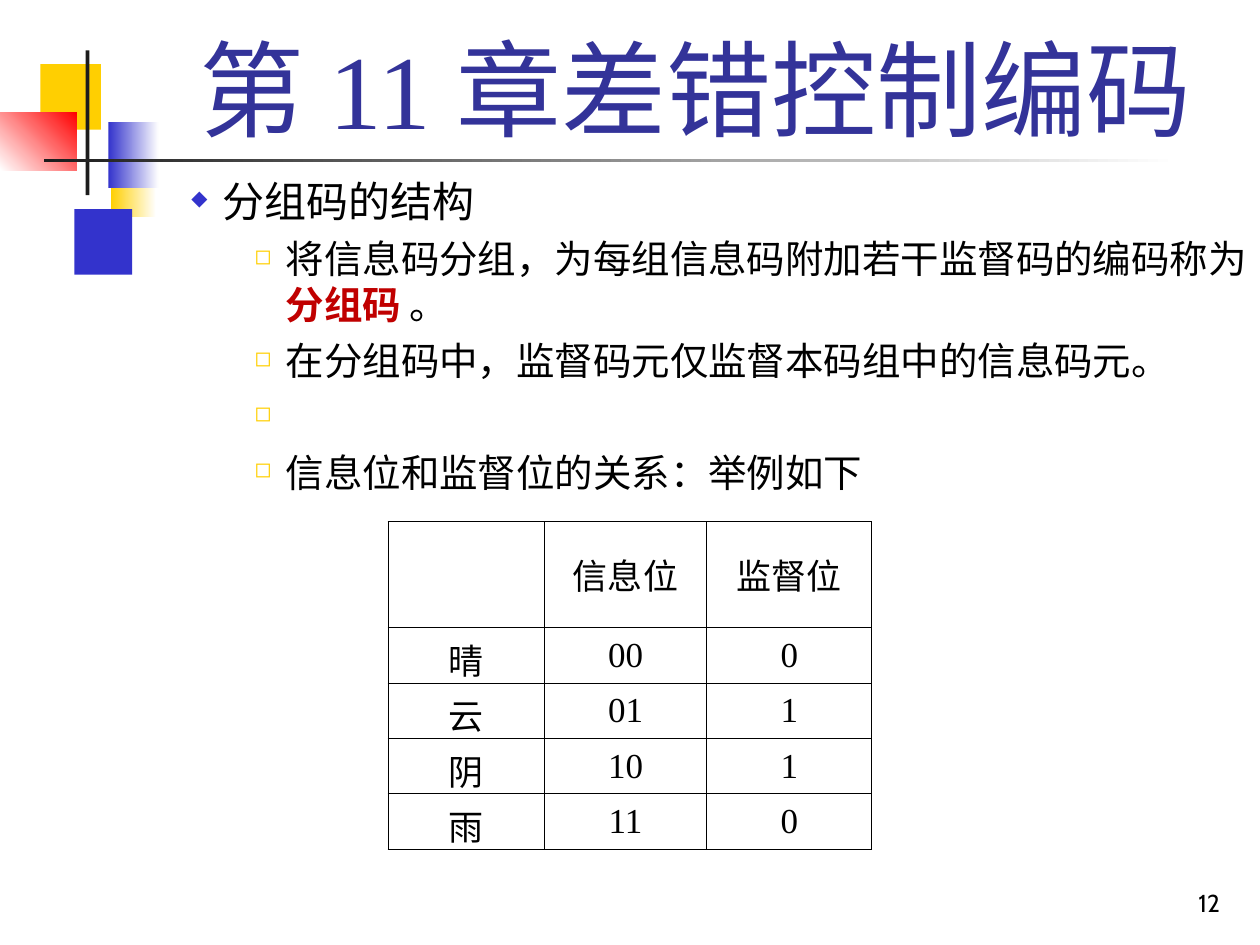
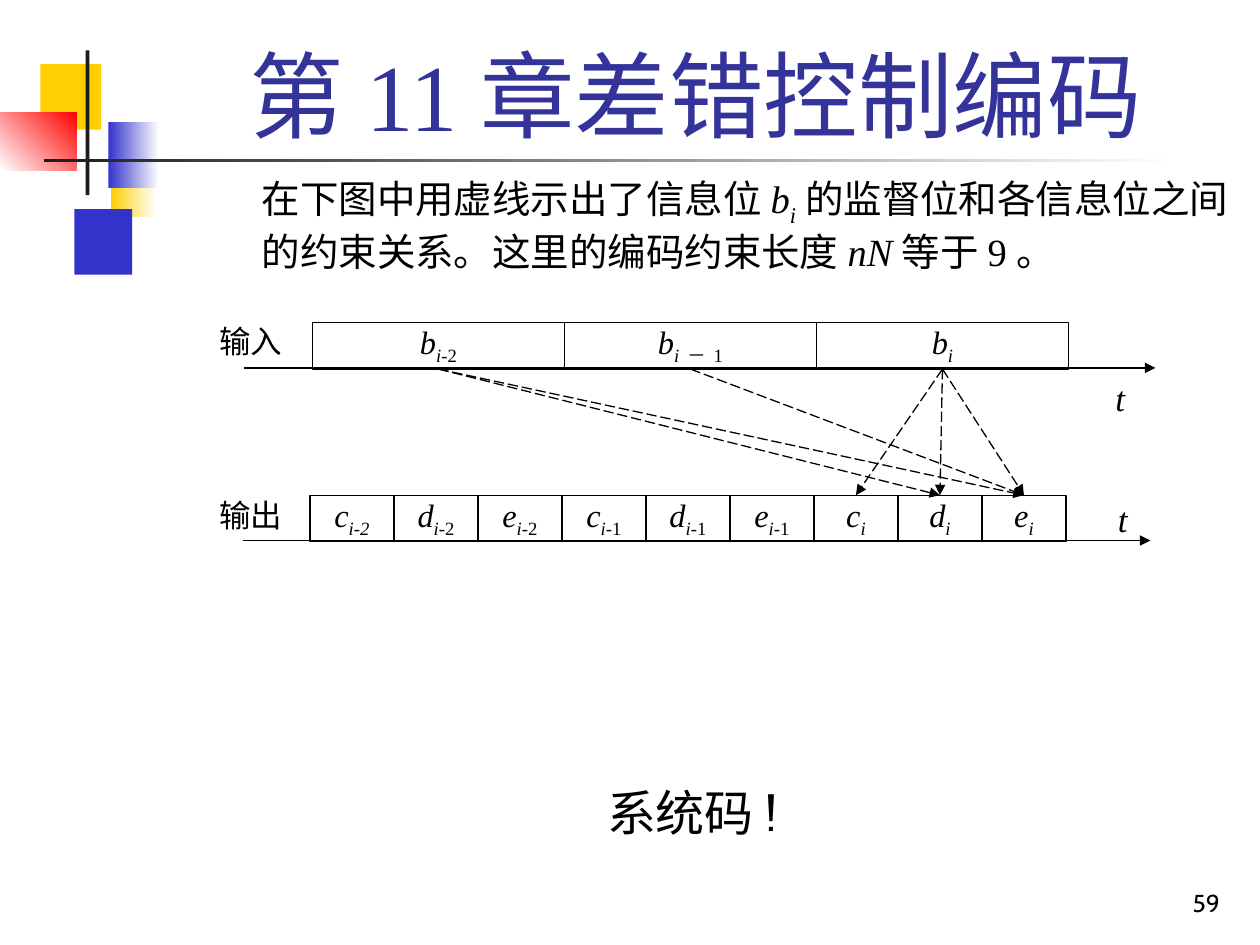
from lxml.etree import SubElement
from pptx import Presentation
from pptx.dml.color import RGBColor
from pptx.enum.dml import MSO_LINE
from pptx.enum.shapes import MSO_CONNECTOR, MSO_SHAPE
from pptx.enum.text import MSO_ANCHOR, PP_ALIGN
from pptx.oxml.ns import qn
from pptx.util import Inches, Pt

COLORS = {
    "black": "000000", "white": "FFFFFF", "ink": "1C1C1C", "title": "333399",
    "blue": "3333CC", "yellow": "FFCF01", "red": "FF0000", "keyword": "C00000",
}
SERIF, SANS = "Times New Roman", "Cabin"
TITLE = "第11章差错控制编码"

presentation = Presentation()
presentation.slide_width = Inches(10)
presentation.slide_height = Inches(7.5)
COLUMN = presentation.slide_width / 100
ROW = presentation.slide_height / 100


def grid(left, top, width, height):
    return [round(n * unit) for n, unit in zip((left, top, width, height), (COLUMN, ROW) * 2)]


def write(frame, paragraph, runs, size, name=SERIF, color="black", align=None, spacing=None,
          anchor=MSO_ANCHOR.TOP, inset=None):
    frame.word_wrap = True
    frame.vertical_anchor = anchor
    if inset is not None:
        for side in ("left", "right", "top", "bottom"):
            setattr(frame, f"margin_{side}", inset)
    paragraph.alignment = align
    paragraph.line_spacing = spacing
    for text, style in runs:
        run = paragraph.add_run()
        run.text = text
        formats = {"size": Pt(size), "name": name, "bold": "b" in style, "italic": "i" in style}
        for attribute, value in formats.items():
            setattr(run.font, attribute, value)
        run.font.color.rgb = RGBColor.from_string(COLORS["keyword" if "b" in style else color])
        if "s" in style:
            run.font._element.set("baseline", "-25000")


decorations = [
    ((8.8, 16, 3.6, 6.93), ("yellow", "white"), 0),
    ((5.9, 22.13, 4.6, 6.93), ("blue",), 0),
    ((3.2, 6.8, 4.8, 6.93), ("yellow",), 0),
    ((8.6, 12.93, 4, 6.93), ("blue", "white"), 0),
    ((0, 11.87, 6.1, 6.13), ("white", "red"), 45),
    ((6.8, 5.33, 0.3, 15.33), ("ink",), 0),
    ((3.5, 16.8, 90, 0.4), ("ink", "white"), 0),
]
slides = []
for number, title_size in (("12", 60), ("59", 54)):
    slide = presentation.slides.add_slide(presentation.slide_layouts[6])
    slides.append(slide)
    for area, colors, angle in decorations:
        shape = slide.shapes.add_shape(MSO_SHAPE.RECTANGLE, *grid(*area))
        shape.shadow.inherit = False
        shape.line.fill.background()
        if len(colors) == 1:
            shape.fill.solid()
            shape.fill.fore_color.rgb = RGBColor.from_string(COLORS[colors[0]])
        else:
            shape.fill.gradient()
            shape.fill.gradient_angle = angle
            for stop, color in zip(shape.fill.gradient_stops, colors):
                stop.color.rgb = RGBColor.from_string(COLORS[color])
    for area, text, size, name, color, align in (
        ((77, 91.07, 20.8, 6.67), number, 14, SANS, "black", PP_ALIGN.RIGHT),
        ((12.6, 3.07, 85.2, 13.47), TITLE, title_size, SERIF, "title", PP_ALIGN.CENTER),
    ):
        frame = slide.shapes.add_textbox(*grid(*area)).text_frame
        write(frame, frame.paragraphs[0], [(text, "")], size, name, color, align,
              anchor=MSO_ANCHOR.BOTTOM)
block_slide, constraint_slide = slides

levels = {
    2: {"size": 24, "margin": 12.5, "before": 6, "bullet": "◆", "color": "blue", "scale": 50},
    3: {"size": 22, "margin": 17.5, "before": 5.5, "bullet": "◻", "color": "yellow", "scale": 55},
}
points = [
    (2, [("分组码的结构", "")]),
    (3, [("将信息码分组，为每组信息码附加若干监督码的编码称为", ""), ("分组码", "b"), (" 。", "")]),
    (3, [("在分组码中，监督码元仅监督本码组中的信息码元。", "")]),
    (3, [(" ", "")]),
    (3, [("信息位和监督位的关系：举例如下", "")]),
]
frame = block_slide.shapes.add_textbox(*grid(4.2, 17.87, 95.8, 82.13)).text_frame
for index, (level, runs) in enumerate(points):
    look = levels[level]
    paragraph = frame.add_paragraph() if index else frame.paragraphs[0]
    write(frame, paragraph, runs, look["size"])
    paragraph.space_before = Pt(look["before"])
    properties = paragraph._p.get_or_add_pPr()
    properties.set("marL", str(round(look["margin"] * COLUMN)))
    properties.set("indent", str(round(-2.5 * COLUMN)))
    bullet_color = SubElement(properties, qn("a:buClr"))
    SubElement(bullet_color, qn("a:srgbClr"), val=COLORS[look["color"]])
    SubElement(properties, qn("a:buSzPct"), val=str(look["scale"] * 1000))
    SubElement(properties, qn("a:buChar"), char=look["bullet"])

weather = [
    ("", "信息位", "监督位"),
    ("晴", "00", "0"),
    ("云", "01", "1"),
    ("阴", "10", "1"),
    ("雨", "11", "0"),
]
table = block_slide.shapes.add_table(5, 3, *grid(30.8, 55.2, 38.4, 34.68)).table
table.first_row = table.horz_banding = False
for column, width in zip(table.columns, (12.4, 12.9, 13.1)):
    column.width = round(width * COLUMN)
for row, height, texts in zip(table.rows, [11.2] + [5.87] * 4, weather):
    row.height = round(height * ROW)
    for cell, text in zip(row.cells, texts):
        cell.fill.background()
        cell.vertical_anchor = MSO_ANCHOR.MIDDLE
        if text:
            write(cell.text_frame, cell.text_frame.paragraphs[0], [(text, "")], 20,
                  align=PP_ALIGN.CENTER, anchor=None)
        properties = cell._tc.get_or_add_tcPr()
        for position, side in enumerate(("lnL", "lnR", "lnT", "lnB")):
            border = SubElement(properties, qn(f"a:{side}"), w=str(Pt(0.45)))
            fill = SubElement(border, qn("a:solidFill"))
            SubElement(fill, qn("a:srgbClr"), val=COLORS["black"])
            properties.insert(position, border)

outputs = [
    [("c", "i"), ("i-2", "is")],
    [("d", "i"), ("i-", "is"), ("2", "s")],
    [("e", "i"), ("i", "is"), ("-2", "s")],
    *[[(letter, "i"), ("i", "is"), ("-1", "s")] for letter in "cde"],
    *[[(letter, "i"), ("i", "is")] for letter in "cde"],
]
inputs = [
    [("b", "i"), ("i-", "is"), ("2", "s")],
    [("b", "i"), ("i", "is"), ("－1", "s")],
    [("b", "i"), ("i", "is")],
]
shapes = constraint_slide.shapes
sequences = []
arrows = []
for labels, left, top, width, axis in (
    (outputs, 24.6, 52.4, 20 / 3, (19.3, 91.3, 57.2)),
    (inputs, 24.8, 34.13, 20, (19.4, 91.7, 38.93)),
):
    boxes = []
    for index, runs in enumerate(labels):
        shape = shapes.add_shape(MSO_SHAPE.RECTANGLE, *grid(left + index * width, top, width, 4.93))
        shape.shadow.inherit = False
        shape.fill.solid()
        shape.fill.fore_color.rgb = RGBColor.from_string(COLORS["white"])
        shape.line.color.rgb = RGBColor.from_string(COLORS["black"])
        shape.line.width = Pt(0.75)
        write(shape.text_frame, shape.text_frame.paragraphs[0], runs, 18.5,
              align=PP_ALIGN.CENTER, spacing=0.9, inset=0)
        boxes.append(shape)
    sequences.append(boxes)
    start, end, height = axis
    connector = shapes.add_connector(MSO_CONNECTOR.STRAIGHT, *grid(start, height, end, height))
    arrows.append((connector, MSO_LINE.SOLID))

output_boxes, input_boxes = sequences
for source, target in ((0, 8), (2, 8), (0, 7), (1, 8), (2, 7), (2, 6)):
    connector = shapes.add_connector(MSO_CONNECTOR.STRAIGHT, 0, 0, 0, 0)
    connector.begin_connect(input_boxes[source], 2)
    connector.end_connect(output_boxes[target], 0)
    arrows.append((connector, MSO_LINE.LONG_DASH))
for connector, dash in arrows:
    connector.line.color.rgb = RGBColor.from_string(COLORS["black"])
    connector.line.width = Pt(0.75)
    connector.line.dash_style = dash
    properties = connector._element.spPr
    SubElement(properties.get_or_add_ln(), qn("a:tailEnd"), type="triangle")
    SubElement(properties, qn("a:effectLst"))

explanation = [
    ("在下图中用虚线示出了信息位", ""), ("b", "i"), ("i", "is"),
    ("的监督位和各信息位之间的约束关系。这里的编码约束长度", ""), ("nN", "i"), ("等于9。", ""),
]
for area, runs, size, name, align, inset in (
    ((85, 39.87, 7.8, 5.2), [("t", "i")], 20, SERIF, PP_ALIGN.CENTER, 0),
    ((85.2, 52.67, 7.8, 5.2), [("t", "i")], 20, SERIF, PP_ALIGN.CENTER, 0),
    ((17.4, 34.13, 6.5, 4.4), [("输入", "")], 18, SERIF, PP_ALIGN.JUSTIFY, 0),
    ((17.4, 52.53, 6.5, 4.4), [("输出", "")], 18, SERIF, PP_ALIGN.JUSTIFY, 0),
    ((19.8, 17.87, 80.2, 82.13), explanation, 22, SERIF, None, None),
    ((47.2, 82.13, 16.3, 7.6), [("系统码!", "")], 28, SANS, None, None),
):
    frame = shapes.add_textbox(*grid(*area)).text_frame
    write(frame, frame.paragraphs[0], runs, size, name, align=align, inset=inset)
    if runs is explanation:
        frame.paragraphs[0].space_before = Pt(5.5)

presentation.save("out.pptx")
